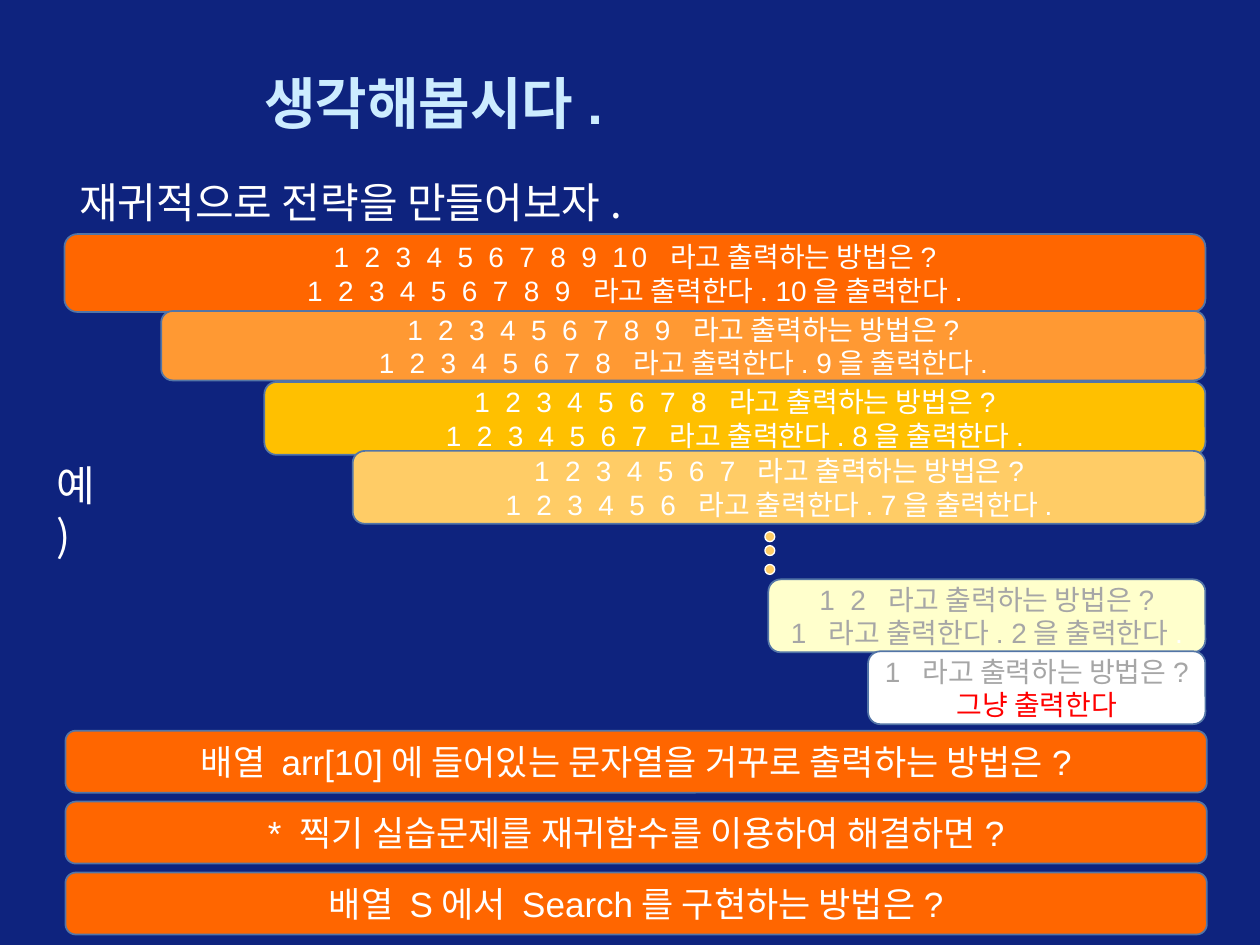
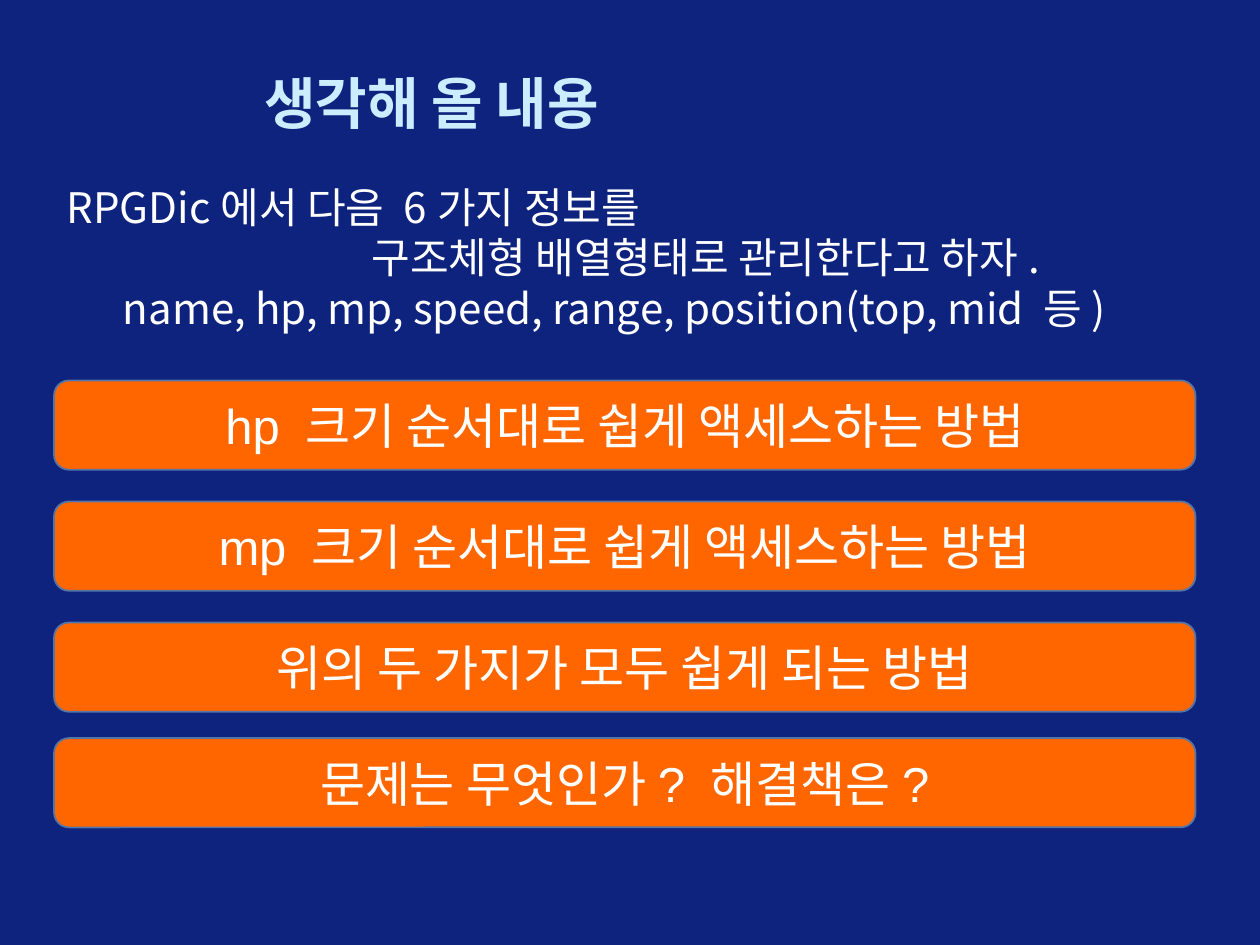
from dataclasses import dataclass

from lxml import etree
from pptx import Presentation
from pptx.dml.color import RGBColor
from pptx.enum.shapes import MSO_SHAPE
from pptx.enum.text import MSO_ANCHOR, PP_ALIGN
from pptx.oxml.ns import qn
from pptx.presentation import Presentation as Deck
from pptx.shapes.autoshape import Shape
from pptx.slide import Slide
from pptx.util import Cm, Pt

ROUNDED = MSO_SHAPE.ROUNDED_RECTANGLE
OVAL = MSO_SHAPE.OVAL
MIDDLE = MSO_ANCHOR.MIDDLE
TOP = MSO_ANCHOR.TOP
CENTER = PP_ALIGN.CENTER
LEFT = PP_ALIGN.LEFT

NAVY = RGBColor(0x0E, 0x23, 0x7E)
ICE = RGBColor(0xCC, 0xEC, 0xFF)
WHITE = RGBColor(0xFF, 0xFF, 0xFF)
GRAY = RGBColor(0xA6, 0xA6, 0xA6)
RED = RGBColor(0xFF, 0x00, 0x00)
OUTLINE = RGBColor(0x53, 0x75, 0xA7)
ORANGE = RGBColor(0xFF, 0x66, 0x00)
LIGHT_ORANGE = RGBColor(0xFF, 0x99, 0x33)
AMBER = RGBColor(0xFF, 0xC0, 0x00)
SAND = RGBColor(0xFF, 0xCC, 0x66)
CREAM = RGBColor(0xFF, 0xFF, 0xCC)

LATIN_FONT = "Arial"
KOREAN_FONT = "Noto Sans CJK KR"
LINE_HEIGHT = 1.2
NUMBER_SPACING = "220"
PANEL_WIDTH = 23.01
STEP_RIGHT = 24.3


@dataclass(frozen=True)
class Box:
    left: float
    top: float
    width: float
    height: float


@dataclass(frozen=True)
class Span:
    text: str
    color: RGBColor = WHITE
    spaced: bool = False


@dataclass(frozen=True)
class Line:
    spans: list[Span]
    indent: float = 0


@dataclass(frozen=True)
class TextStyle:
    size: float
    font: str = LATIN_FONT
    bold: bool = False
    alignment: PP_ALIGN = CENTER
    anchor: MSO_ANCHOR = MIDDLE


@dataclass(frozen=True)
class Step:
    count: int
    left: float
    top: float
    height: float
    fill: RGBColor
    color: RGBColor = WHITE


TITLE_STYLE = TextStyle(32, bold=True, alignment=LEFT)
BODY_STYLE = TextStyle(24, KOREAN_FONT, alignment=LEFT, anchor=TOP)
STEP_STYLE = TextStyle(16)
QUESTION_STYLE = TextStyle(20)
TASK_STYLE = TextStyle(28)

STEPS = [
    Step(10, 1.3, 4.72, 1.57, ORANGE),
    Step(9, 3.25, 6.27, 1.4, LIGHT_ORANGE),
    Step(8, 5.33, 7.7, 1.47, AMBER),
    Step(7, 7.11, 9.09, 1.47, SAND),
    Step(2, 15.49, 11.68, 1.47, CREAM, GRAY),
    Step(1, 17.5, 13.13, 1.47, WHITE, GRAY),
]
DOT_TOPS = [10.72, 11, 11.38]
QUESTIONS = [
    "배열 arr[10]에 들어있는 문자열을 거꾸로 출력하는 방법은?",
    "* 찍기 실습문제를 재귀함수를 이용하여 해결하면?",
    "배열 S에서 Search를 구현하는 방법은?",
]
TASKS = {
    7.67: "hp 크기 순서대로 쉽게 액세스하는 방법",
    10.11: "mp 크기 순서대로 쉽게 액세스하는 방법",
    12.55: "위의 두 가지가 모두 쉽게 되는 방법",
    14.88: "문제는 무엇인가? 해결책은?",
}


def plain(text: str, color: RGBColor = WHITE, indent: float = 0) -> Line:
    return Line([Span(text, color)], indent)


def write_lines(shape: Shape, lines: list[Line], style: TextStyle) -> None:
    frame = shape.text_frame
    frame.word_wrap = True
    frame.vertical_anchor = style.anchor
    for index, line in enumerate(lines):
        paragraph = frame.add_paragraph() if index else frame.paragraphs[0]
        paragraph.alignment = style.alignment
        paragraph.line_spacing = Pt(style.size * LINE_HEIGHT)
        if line.indent:
            properties = paragraph._p.get_or_add_pPr()
            properties.set("marL", str(Cm(line.indent)))
            properties.set("indent", "0")
        for span in line.spans:
            run = paragraph.add_run()
            run.text = span.text
            run.font.size = Pt(style.size)
            run.font.bold = style.bold
            run.font.name = style.font
            run.font.color.rgb = span.color
            properties = run._r.get_or_add_rPr()
            etree.SubElement(properties, qn("a:ea"), typeface=KOREAN_FONT)
            if span.spaced:
                properties.set("spc", NUMBER_SPACING)


def add_text(slide: Slide, box: Box, lines: list[Line], style: TextStyle) -> None:
    shape = slide.shapes.add_textbox(
        Cm(box.left), Cm(box.top), Cm(box.width), Cm(box.height)
    )
    write_lines(shape, lines, style)


def add_figure(
    slide: Slide, kind: MSO_SHAPE, box: Box, fill: RGBColor, outline: RGBColor, weight: float
) -> Shape:
    shape = slide.shapes.add_shape(
        kind, Cm(box.left), Cm(box.top), Cm(box.width), Cm(box.height)
    )
    shape.shadow.inherit = False
    shape.fill.solid()
    shape.fill.fore_color.rgb = fill
    shape.line.color.rgb = outline
    shape.line.width = Pt(weight)
    return shape


def add_panel(
    slide: Slide, box: Box, lines: list[Line], style: TextStyle, fill: RGBColor = ORANGE
) -> None:
    shape = add_figure(slide, ROUNDED, box, fill, OUTLINE, 1)
    shape.text_frame.margin_left = shape.text_frame.margin_right = Cm(0)
    write_lines(shape, lines, style)


def add_titled_slide(presentation: Deck, title: str) -> Slide:
    slide = presentation.slides.add_slide(presentation.slide_layouts[6])
    slide.background.fill.solid()
    slide.background.fill.fore_color.rgb = NAVY
    add_text(slide, Box(5.08, 1.27, 19.25, 1.57), [plain(title, ICE)], TITLE_STYLE)
    return slide


def number_span(count: int, color: RGBColor) -> Span:
    numbers = " ".join(str(number) for number in range(1, count + 1))
    return Span(numbers + " ", color, spaced=True)


def step_lines(step: Step) -> list[Line]:
    question = Line(
        [number_span(step.count, step.color), Span("라고 출력하는 방법은?", step.color)]
    )
    if step.count == 1:
        return [question, plain("그냥 출력한다", RED)]
    answer = Line(
        [
            number_span(step.count - 1, step.color),
            Span(f"라고 출력한다. {step.count}을 출력한다", step.color),
            Span("."),
        ]
    )
    return [question, answer]


def build_recursion_slide(presentation: Deck) -> None:
    slide = add_titled_slide(presentation, "생각해봅시다.")
    add_text(
        slide, Box(1.35, 3.43, 12.47, 1.27), [plain("재귀적으로 전략을 만들어보자.")], BODY_STYLE
    )
    add_text(slide, Box(0.89, 9.14, 1.68, 1.27), [plain("예)")], BODY_STYLE)
    for step in STEPS:
        box = Box(step.left, step.top, STEP_RIGHT - step.left, step.height)
        add_panel(slide, box, step_lines(step), STEP_STYLE, step.fill)
    for top in DOT_TOPS:
        add_figure(slide, OVAL, Box(15.42, top, 0.2, 0.2), SAND, WHITE, 0.75)
    for index, question in enumerate(QUESTIONS):
        box = Box(1.32, 14.73 + 1.43 * index, PANEL_WIDTH, 1.25)
        add_panel(slide, box, [plain(question)], QUESTION_STYLE)


def build_homework_slide(presentation: Deck) -> None:
    slide = add_titled_slide(presentation, "생각해 올 내용")
    introduction = [
        plain("RPGDic에서 다음 6가지 정보를"),
        plain("구조체형 배열형태로 관리한다고 하자.", indent=6.15),
        plain("name, hp, mp, speed, range, position(top, mid 등)", indent=1.14),
    ]
    add_text(slide, Box(1.09, 3.53, 22.73, 4.0), introduction, BODY_STYLE)
    for top, task in TASKS.items():
        add_panel(slide, Box(1.09, top, PANEL_WIDTH, 1.8), [plain(task)], TASK_STYLE)


def main() -> None:
    presentation = Presentation()
    presentation.slide_width = Cm(25.4)
    presentation.slide_height = Cm(19.05)
    build_recursion_slide(presentation)
    build_homework_slide(presentation)
    presentation.save("out.pptx")


if __name__ == "__main__":
    main()
